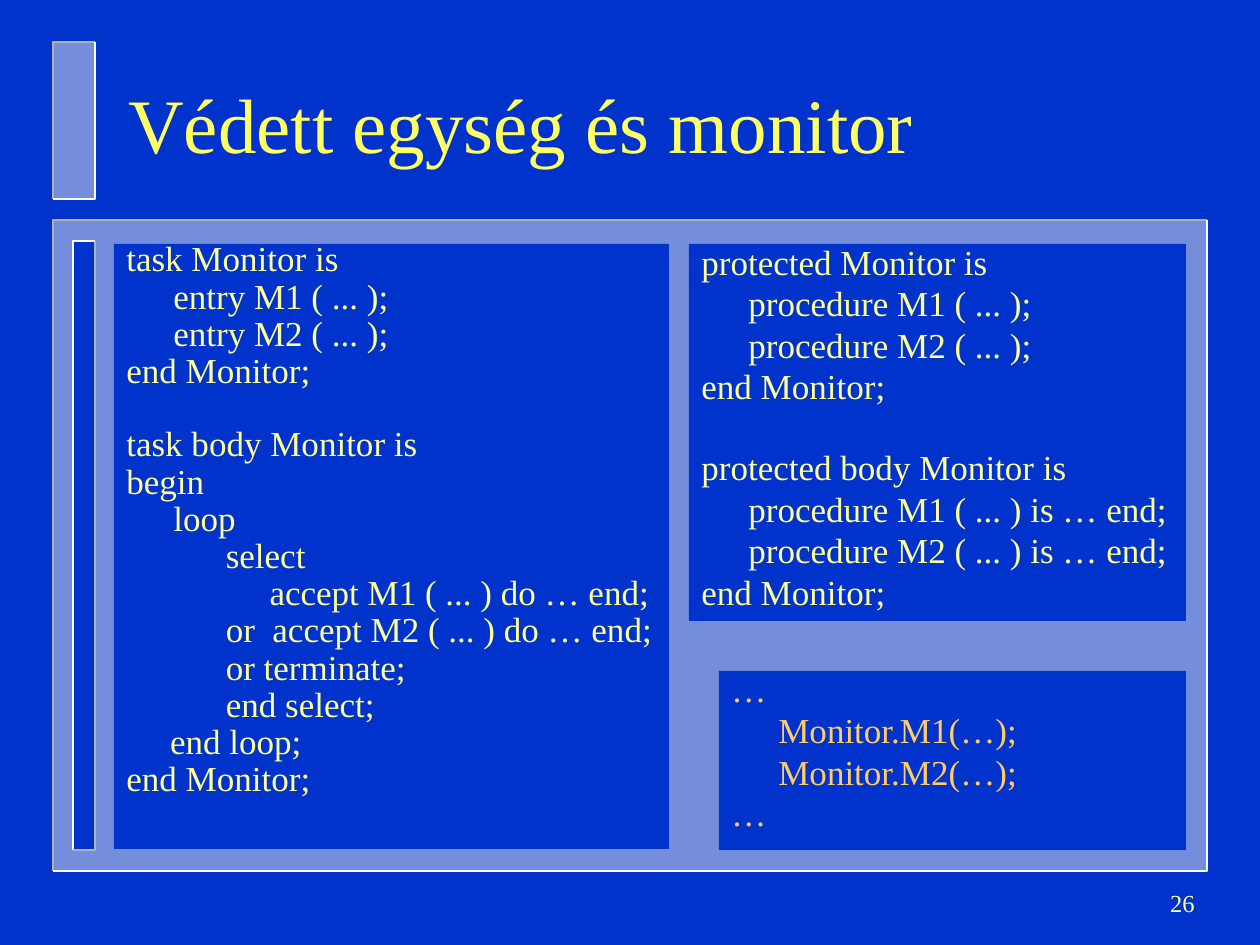
import pptx
import pptx.dml.color
import pptx.enum.shapes
import pptx.enum.text
import pptx.oxml.ns
import pptx.util
import lxml.etree

BLUE = pptx.dml.color.RGBColor(0x00, 0x33, 0xCC)
PALE = pptx.dml.color.RGBColor(0xEA, 0xEA, 0xEA)
GREY = pptx.dml.color.RGBColor(0xB2, 0xB2, 0xB2)
WHITE = pptx.dml.color.RGBColor(0xFF, 0xFF, 0xFF)
YELLOW = pptx.dml.color.RGBColor(0xFF, 0xFF, 0x66)
CREAM = pptx.dml.color.RGBColor(0xFF, 0xFF, 0x99)
ORANGE = pptx.dml.color.RGBColor(0xFF, 0xCC, 0x66)

FONT = "Times New Roman"
EMU_PER_PX = 914400 / 126
CODE_SIZE = 20
CODE_GAP = 5.65
LINE_HEIGHT = 23

TASK_CODE = """task Monitor is
\tentry M1 ( ... );
\tentry M2 ( ... );
end Monitor;

task body Monitor is
begin
\tloop
\t      select
\t           accept M1 ( ... ) do … end;
\t      or  accept M2 ( ... ) do … end;
\t      or terminate;
\t      end select;
     end loop;
end Monitor;"""

PROTECTED_CODE = """protected Monitor is
\tprocedure M1 ( ... );
\tprocedure M2 ( ... );
end Monitor;

protected body Monitor is
\tprocedure M1 ( ... ) is … end;
\tprocedure M2 ( ... ) is … end;
end Monitor;"""

CALL_CODE = """…
\tMonitor.M1(…);
\tMonitor.M2(…);
…"""


def px(length):
    return pptx.util.Emu(round(length * EMU_PER_PX))


class SlideBuilder:
    def __init__(self, slide):
        self.slide = slide
        slide.background.fill.solid()
        slide.background.fill.fore_color.rgb = BLUE

    def rectangle(self, left, top, width, height, color, alpha=100):
        shape = self.slide.shapes.add_shape(
            pptx.enum.shapes.MSO_SHAPE.RECTANGLE,
            px(left), px(top), px(width), px(height))
        shape.shadow.inherit = False
        shape.line.fill.background()
        shape.fill.solid()
        shape.fill.fore_color.rgb = color
        if alpha < 100:
            color_element = shape.fill._xPr.find(".//" + pptx.oxml.ns.qn("a:srgbClr"))
            lxml.etree.SubElement(color_element, pptx.oxml.ns.qn("a:alpha"),
                                  val=str(alpha * 1000))
        return shape

    def edge(self, points, color):
        builder = self.slide.shapes.build_freeform(*points[0], scale=EMU_PER_PX)
        builder.add_line_segments(points[1:], close=False)
        shape = builder.convert_to_shape()
        shape.shadow.inherit = False
        shape.fill.background()
        shape.line.color.rgb = color
        shape.line.width = pptx.util.Pt(1)

    def bevel(self, left, top, width, height, fill, alpha, upper, lower):
        self.rectangle(left, top, width, height, fill, alpha)
        right, bottom = left + width, top + height
        self.edge([(right, top), (left, top), (left, bottom)], upper)
        self.edge([(right, top), (right, bottom), (left, bottom)], lower)

    def style(self, paragraph, size, color):
        paragraph.font.name = FONT
        paragraph.font.size = pptx.util.Pt(size)
        paragraph.font.color.rgb = color

    def text(self, left, top, width, height, content, size, color, alignment):
        box = self.slide.shapes.add_textbox(px(left), px(top), px(width), px(height))
        frame = box.text_frame
        frame.word_wrap = True
        frame.vertical_anchor = pptx.enum.text.MSO_ANCHOR.MIDDLE
        paragraph = frame.paragraphs[0]
        paragraph.text = content
        paragraph.alignment = alignment
        self.style(paragraph, size, color)

    def code(self, left, top, width, height, content, color, spacing):
        frame = self.rectangle(left, top, width, height, BLUE).text_frame
        frame.word_wrap = True
        frame.vertical_anchor = pptx.enum.text.MSO_ANCHOR.TOP
        block_gap = 2 * CODE_GAP + spacing * LINE_HEIGHT
        for block_index, block in enumerate(content.split("\n\n")):
            for line_index, line in enumerate(block.split("\n")):
                first = block_index == line_index == 0
                paragraph = frame.paragraphs[0] if first else frame.add_paragraph()
                paragraph.text = line
                paragraph.alignment = pptx.enum.text.PP_ALIGN.LEFT
                paragraph.line_spacing = spacing
                if not first:
                    gap = CODE_GAP if line_index else block_gap
                    paragraph.space_before = pptx.util.Pt(gap)
                properties = paragraph._p.get_or_add_pPr()
                properties.set("marL", str(px(47)))
                properties.set("indent", str(-px(47)))
                self.style(paragraph, CODE_SIZE, color)


def main():
    presentation = pptx.Presentation()
    presentation.slide_width = px(1260)
    presentation.slide_height = px(945)
    builder = SlideBuilder(presentation.slides.add_slide(presentation.slide_layouts[6]))

    builder.bevel(53, 220, 1154, 651, PALE, 50, GREY, WHITE)
    builder.bevel(73, 241, 22, 609, BLUE, 100, WHITE, GREY)
    builder.bevel(53, 42, 42, 157, PALE, 50, GREY, WHITE)

    builder.text(116, 47, 1071, 152, "Védett egység és monitor", 44, YELLOW,
                 pptx.enum.text.PP_ALIGN.LEFT)
    builder.code(114, 244, 555, 605, TASK_CODE, CREAM, 0.65)
    builder.code(689, 244, 497, 377, PROTECTED_CODE, CREAM, 0.75)
    builder.code(719, 671, 467, 179, CALL_CODE, ORANGE, 0.75)
    builder.text(945, 871, 262, 63, "26", 14, CREAM, pptx.enum.text.PP_ALIGN.RIGHT)

    presentation.save("out.pptx")


if __name__ == "__main__":
    main()
